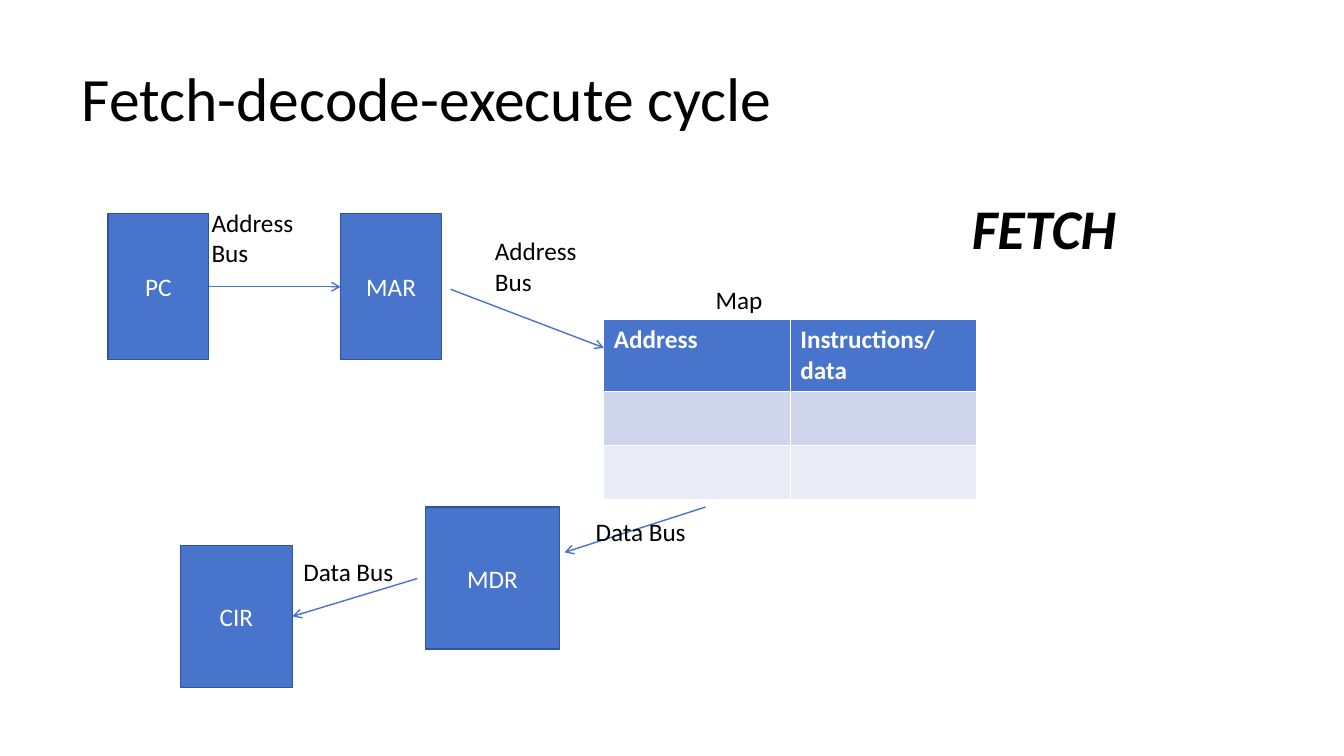
from lxml import etree
from pptx import Presentation
from pptx.dml.color import RGBColor
from pptx.enum.shapes import MSO_CONNECTOR, MSO_SHAPE
from pptx.enum.text import MSO_ANCHOR, MSO_AUTO_SIZE, PP_ALIGN
from pptx.oxml.ns import qn
from pptx.util import Inches, Pt

RECTANGLE = MSO_SHAPE.RECTANGLE
STRAIGHT = MSO_CONNECTOR.STRAIGHT
MIDDLE = MSO_ANCHOR.MIDDLE
GROW = MSO_AUTO_SIZE.SHAPE_TO_FIT_TEXT
LEFT, CENTER = PP_ALIGN.LEFT, PP_ALIGN.CENTER
LEFT_SIDE, RIGHT_SIDE = 1, 3


def color(value):
    return RGBColor.from_string(value)


class SlideBuilder:
    font_name = "Calibri"
    blue, outline = "4874CB", "2E54A1"
    black, white = "000000", "FFFFFF"
    row_fills = (blue, "CFD6EC", "E9EBF6")

    def __init__(self, presentation):
        self.width = presentation.slide_width
        self.height = presentation.slide_height
        self.slide = presentation.slides.add_slide(presentation.slide_layouts[5])

    def place(self, left, top, width, height):
        return (self.across(left), self.down(top), self.across(width), self.down(height))

    def across(self, percent):
        return round(self.width * percent / 100)

    def down(self, percent):
        return round(self.height * percent / 100)

    def set_text(self, frame, text, size, ink, align=LEFT, bold=False, italic=False):
        frame.text = text
        frame.word_wrap = True
        paragraph = frame.paragraphs[0]
        paragraph.alignment = align
        font = paragraph.font
        font.name, font.size = self.font_name, Pt(size)
        font.bold, font.italic = bold, italic
        font.color.rgb = color(ink)
        return paragraph

    def title(self, text, *area):
        shape = self.slide.shapes.title
        shape.left, shape.top, shape.width, shape.height = self.place(*area)
        paragraph = self.set_text(shape.text_frame, text, 44, self.black)
        paragraph.line_spacing = 0.9
        shape.text_frame.vertical_anchor = MIDDLE

    def register(self, text, *area):
        shape = self.slide.shapes.add_shape(RECTANGLE, *self.place(*area))
        shape.shadow.inherit = False
        shape.fill.solid()
        shape.fill.fore_color.rgb = color(self.blue)
        shape.line.color.rgb = color(self.outline)
        shape.line.width = Pt(1)
        self.set_text(shape.text_frame, text, 18, self.white, CENTER)
        shape.text_frame.vertical_anchor = MIDDLE
        return shape

    def label(self, text, *area, size=18, strong=False):
        shape = self.slide.shapes.add_textbox(*self.place(*area))
        self.set_text(shape.text_frame, text, size, self.black, bold=strong, italic=strong)
        shape.text_frame.auto_size = GROW

    def arrow(self, start=(0, 0), end=(0, 0), source=None, target=None):
        connector = self.slide.shapes.add_connector(
            STRAIGHT, self.across(start[0]), self.down(start[1]),
            self.across(end[0]), self.down(end[1]))
        if source is not None:
            connector.begin_connect(*source)
        if target is not None:
            connector.end_connect(*target)
        connector.line.color.rgb = color(self.blue)
        connector.line.width = Pt(1)
        properties = connector._element.spPr
        etree.SubElement(properties.find(qn("a:ln")), qn("a:tailEnd"), type="arrow")
        etree.SubElement(properties, qn("a:effectLst"))

    def table(self, headings, row_heights, *area):
        frame = self.slide.shapes.add_table(
            len(row_heights), len(headings), *self.place(*area))
        table = frame.table
        for row, height, fill in zip(table.rows, row_heights, self.row_fills):
            row.height = self.down(height)
            for cell in row.cells:
                cell.fill.solid()
                cell.fill.fore_color.rgb = color(fill)
        for cell, heading in zip(table.rows[0].cells, headings):
            self.set_text(cell.text_frame, heading, 18, self.white, bold=True)


def main():
    presentation = Presentation()
    presentation.slide_width, presentation.slide_height = Inches(13.33), Inches(7.5)
    builder = SlideBuilder(presentation)
    builder.title("Fetch-decode-execute cycle", 5.33, 3.73, 86.25, 19.33)

    counter = builder.register("PC", 8.03, 28.27, 7.5, 19.33)
    address_register = builder.register("MAR", 25.35, 28.27, 7.5, 19.33)
    builder.register("MDR", 31.65, 67.07, 9.98, 18.8)
    instruction_register = builder.register("CIR", 13.43, 72.13, 8.33, 18.8)
    builder.table(("Address", "Instructions/data"), (9.33, 7.15, 7.15),
                  44.93, 42.27, 27.76, 23.63)

    builder.arrow(source=(counter, RIGHT_SIDE), target=(address_register, LEFT_SIDE))
    builder.arrow(start=(33.53, 38.27), end=(44.93, 46))
    builder.arrow(start=(52.5, 67.07), end=(42, 73.07))
    builder.arrow(start=(31.05, 76.53), target=(instruction_register, RIGHT_SIDE))

    builder.label("Map", 52.5, 36.93, 33.3, 5.33)
    for left, top in ((15, 26.8), (36.08, 30.53)):
        builder.label("Address Bus", left, top, 9.75, 9.47)
    for left, top in ((43.58, 67.6), (21.83, 72.93)):
        builder.label("Data Bus", left, top, 9.75, 5.33)
    builder.label("FETCH", 71.57, 24.93, 18.9, 10.27, size=40, strong=True)
    presentation.save("out.pptx")


if __name__ == "__main__":
    main()
